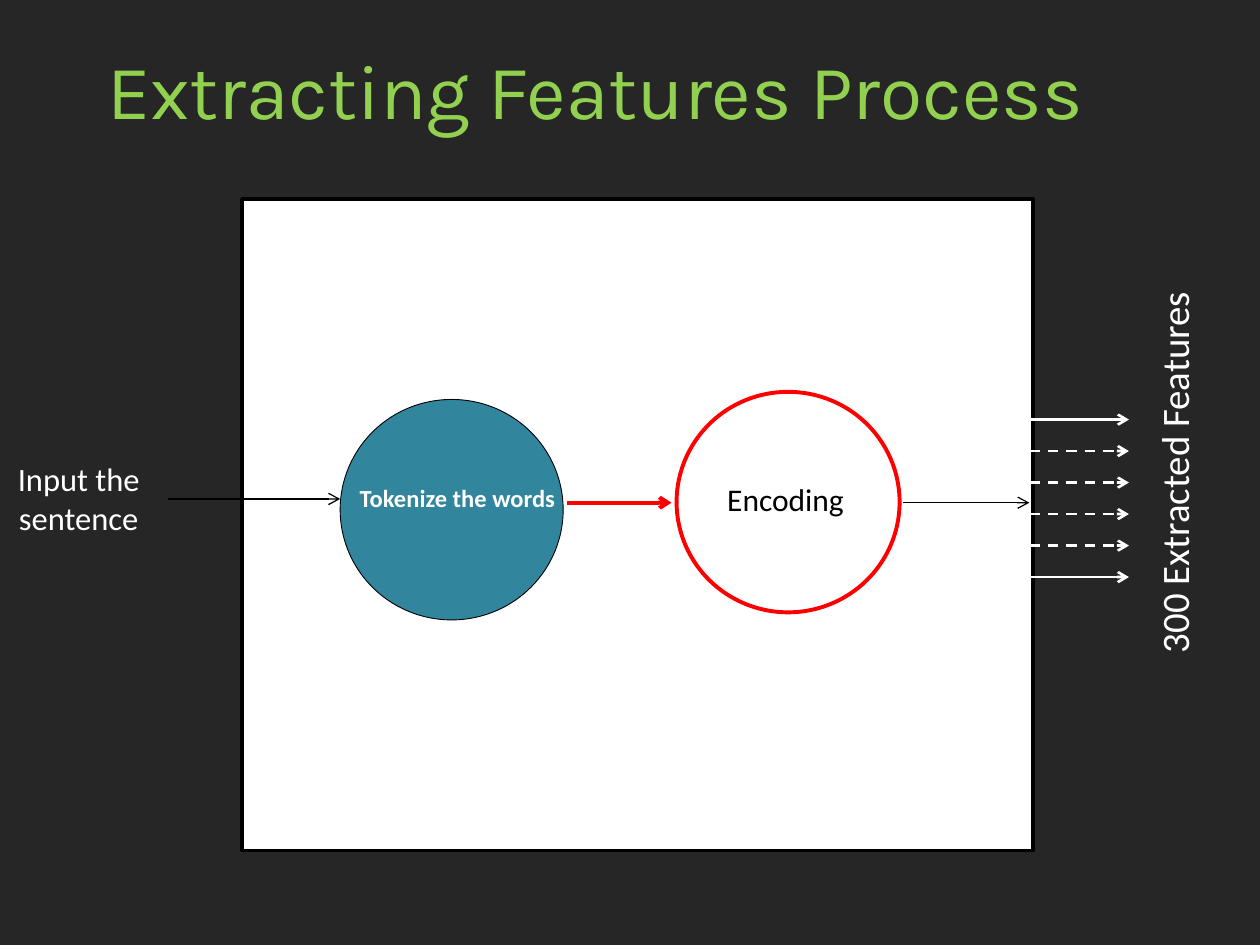
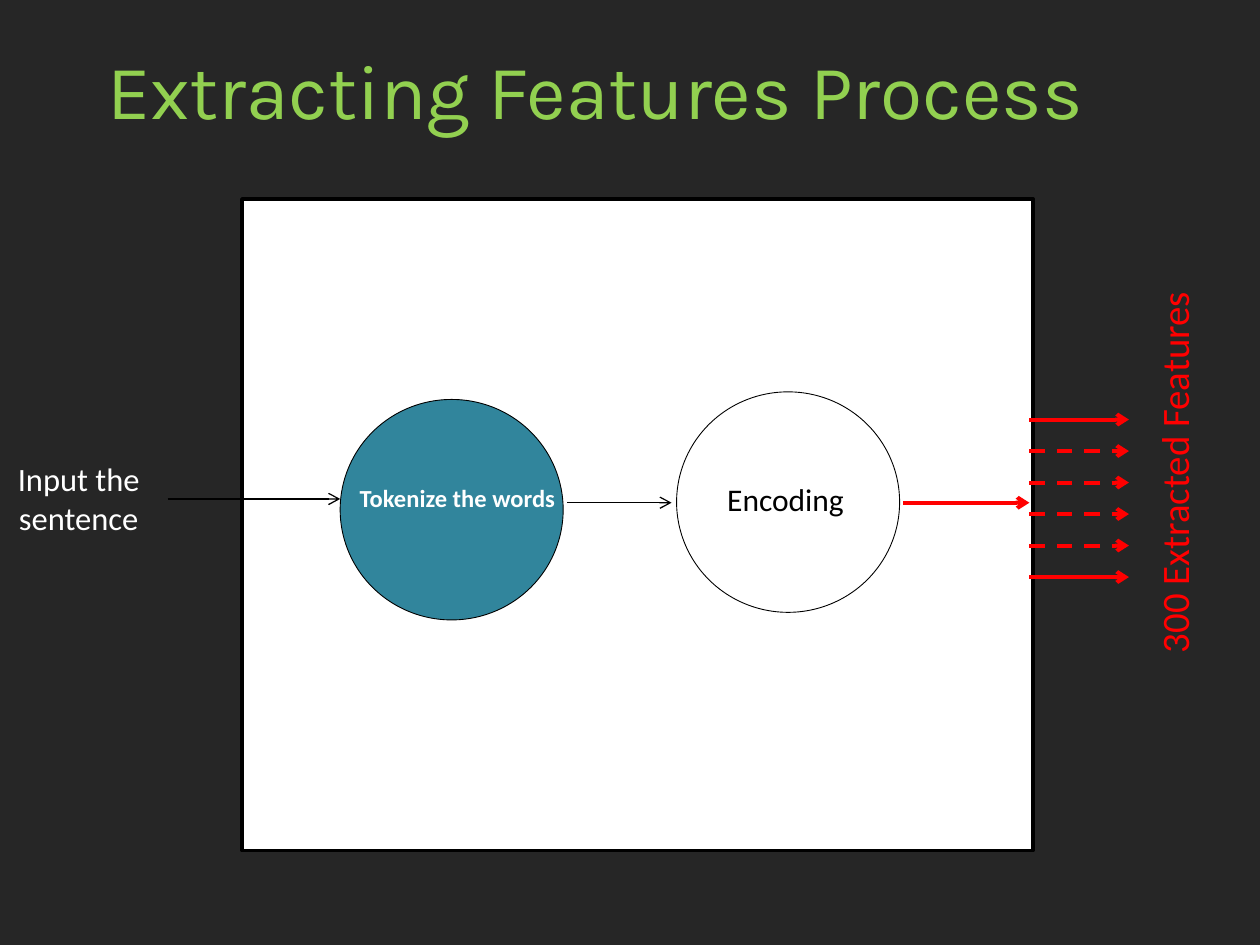
from dataclasses import dataclass

from lxml import etree
from pptx import Presentation
from pptx.dml.color import RGBColor
from pptx.enum.dml import MSO_LINE
from pptx.enum.shapes import MSO_CONNECTOR, MSO_SHAPE
from pptx.enum.text import MSO_ANCHOR, MSO_AUTO_SIZE, PP_ALIGN
from pptx.oxml.ns import qn
from pptx.util import Inches, Pt

RECTANGLE, OVAL = MSO_SHAPE.RECTANGLE, MSO_SHAPE.OVAL
STRAIGHT = MSO_CONNECTOR.STRAIGHT
DASH = MSO_LINE.DASH
TOP, MIDDLE = MSO_ANCHOR.TOP, MSO_ANCHOR.MIDDLE
LEFT, CENTER = PP_ALIGN.LEFT, PP_ALIGN.CENTER
NO_AUTOFIT = MSO_AUTO_SIZE.NONE
TITLE_ONLY_LAYOUT = 5


@dataclass(frozen=True)
class Theme:
    background: str = "262626"
    title: str = "92D050"
    light: str = "FFFFFF"
    dark: str = "000000"
    accent: str = "FF0000"
    token: str = "31859C"
    title_font: str = "Karla"
    body_font: str = "Calibri"
    title_size: float = 44
    output_size: float = 22.2
    input_size: float = 18.6
    encoding_size: float = 18
    token_size: float = 14


THEME = Theme()


@dataclass(frozen=True)
class Box:
    left: float
    top: float
    width: float
    height: float

    def inches(self) -> tuple:
        return tuple(Inches(v) for v in (self.left, self.top, self.width, self.height))


@dataclass(frozen=True)
class Stroke:
    color: str
    width: float


@dataclass(frozen=True)
class Label:
    text: str
    box: Box
    size: float
    color: str
    anchor: MSO_ANCHOR = MIDDLE
    bold: bool = False
    rotation: float = 0
    line_spacing: float = 1.0


@dataclass(frozen=True)
class Stage:
    """Which strokes and colours one slide uses to mark its step."""
    encoding_outline: Stroke
    to_encoding: Stroke
    from_encoding: Stroke
    features: Stroke


THIN = Stroke(THEME.dark, 0.75)
OUTLINE = Stroke(THEME.dark, 0.5)
FRAME = Stroke(THEME.dark, 2)
ACTIVE = Stroke(THEME.accent, 2.25)

STAGES = (
    Stage(ACTIVE, ACTIVE, THIN, Stroke(THEME.light, 1.5)),
    Stage(OUTLINE, THIN, ACTIVE, ACTIVE),
)

TITLE_BOX = Box(0.75, 0.08, 9, 1.25)
FRAME_BOX = Box(1.92, 1.58, 6.28, 5.17)
TOKEN_BOX = Box(2.7, 3.17, 1.77, 1.75)
ENCODING_BOX = Box(5.37, 3.11, 1.77, 1.75)
INPUT_Y, FLOW_Y = 3.96, 3.99
FEATURE_COUNT, FEATURE_TOP, FEATURE_STEP = 6, 3.33, 0.25
FEATURE_LEFT, FEATURE_RIGHT = 8.17, 8.96


def rgb(color: str) -> RGBColor:
    return RGBColor.from_string(color)


def style_line(line, stroke: Stroke) -> None:
    line.color.rgb = rgb(stroke.color)
    line.width = Pt(stroke.width)


def add_title(slide, text: str) -> None:
    title = slide.shapes.title
    title.left, title.top, title.width, title.height = TITLE_BOX.inches()
    frame = title.text_frame
    frame.text = text
    frame.auto_size = NO_AUTOFIT
    frame.vertical_anchor = MIDDLE
    paragraph = frame.paragraphs[0]
    paragraph.alignment = LEFT
    paragraph.font.name = THEME.title_font
    paragraph.font.size = Pt(THEME.title_size)
    paragraph.font.color.rgb = rgb(THEME.title)


def add_panel(slide, kind, box: Box, stroke: Stroke, fill: str | None = None) -> None:
    shape = slide.shapes.add_shape(kind, *box.inches())
    shape.shadow.inherit = False
    if fill:
        shape.fill.solid()
        shape.fill.fore_color.rgb = rgb(fill)
    else:
        shape.fill.background()
    style_line(shape.line, stroke)


def add_label(slide, label: Label) -> None:
    shape = slide.shapes.add_textbox(*label.box.inches())
    shape.rotation = label.rotation
    frame = shape.text_frame
    frame.word_wrap = True
    frame.vertical_anchor = label.anchor
    frame.text = label.text
    paragraph = frame.paragraphs[0]
    paragraph.alignment = CENTER
    paragraph.line_spacing = label.line_spacing
    paragraph.font.name = THEME.body_font
    paragraph.font.size = Pt(label.size)
    paragraph.font.bold = label.bold
    paragraph.font.color.rgb = rgb(label.color)


def add_arrow(slide, start: float, end: float, y: float, stroke: Stroke,
              dashed: bool = False) -> None:
    arrow = slide.shapes.add_connector(
        STRAIGHT, Inches(start), Inches(y), Inches(end), Inches(y))
    style_line(arrow.line, stroke)
    if dashed:
        arrow.line.dash_style = DASH
    # Open arrowhead at the end, and no theme shadow
    properties = arrow._element.spPr
    etree.SubElement(properties.find(qn("a:ln")), qn("a:tailEnd"), type="arrow")
    etree.SubElement(properties, qn("a:effectLst"))


def add_feature_arrows(slide, stroke: Stroke) -> None:
    """Solid first and last arrows, dashed ones between them."""
    for index in range(FEATURE_COUNT):
        add_arrow(slide, FEATURE_LEFT, FEATURE_RIGHT,
                  FEATURE_TOP + index * FEATURE_STEP, stroke,
                  dashed=0 < index < FEATURE_COUNT - 1)


def build_slide(presentation, stage: Stage) -> None:
    slide = presentation.slides.add_slide(presentation.slide_layouts[TITLE_ONLY_LAYOUT])
    add_title(slide, "Extracting Features Process")

    # Process frame and its outputs
    add_panel(slide, RECTANGLE, FRAME_BOX, FRAME, THEME.light)
    add_feature_arrows(slide, stage.features)

    # The two steps
    add_panel(slide, OVAL, ENCODING_BOX, stage.encoding_outline)
    add_panel(slide, OVAL, TOKEN_BOX, OUTLINE, THEME.token)

    # Flow from input to output
    add_arrow(slide, 1.33, TOKEN_BOX.left, INPUT_Y, THIN)
    add_arrow(slide, 4.5, 5.33, FLOW_Y, stage.to_encoding)
    add_arrow(slide, 7.17, FEATURE_LEFT, FLOW_Y, stage.from_encoding)

    # Labels
    labels = (
        Label("300 Extracted Features", Box(7.73, 3.44, 3.17, 0.62),
              THEME.output_size, stage.features.color, rotation=270),
        Label("Tokenize the words", Box(2.67, 3.75, 1.92, 0.93),
              THEME.token_size, THEME.light, TOP, bold=True, line_spacing=1.15),
        Label("Input the sentence", Box(-0.25, 3.64, 1.75, 0.62),
              THEME.input_size, THEME.light),
        Label("Encoding", Box(5.42, 3.76, 1.63, 0.4),
              THEME.encoding_size, THEME.dark, TOP),
    )
    for label in labels:
        add_label(slide, label)


def main() -> None:
    presentation = Presentation()
    presentation.slide_width, presentation.slide_height = Inches(10), Inches(7.5)
    # Shared dark background
    background = presentation.slide_master.background.fill
    background.solid()
    background.fore_color.rgb = rgb(THEME.background)
    for stage in STAGES:
        build_slide(presentation, stage)
    presentation.save("out.pptx")


main()
